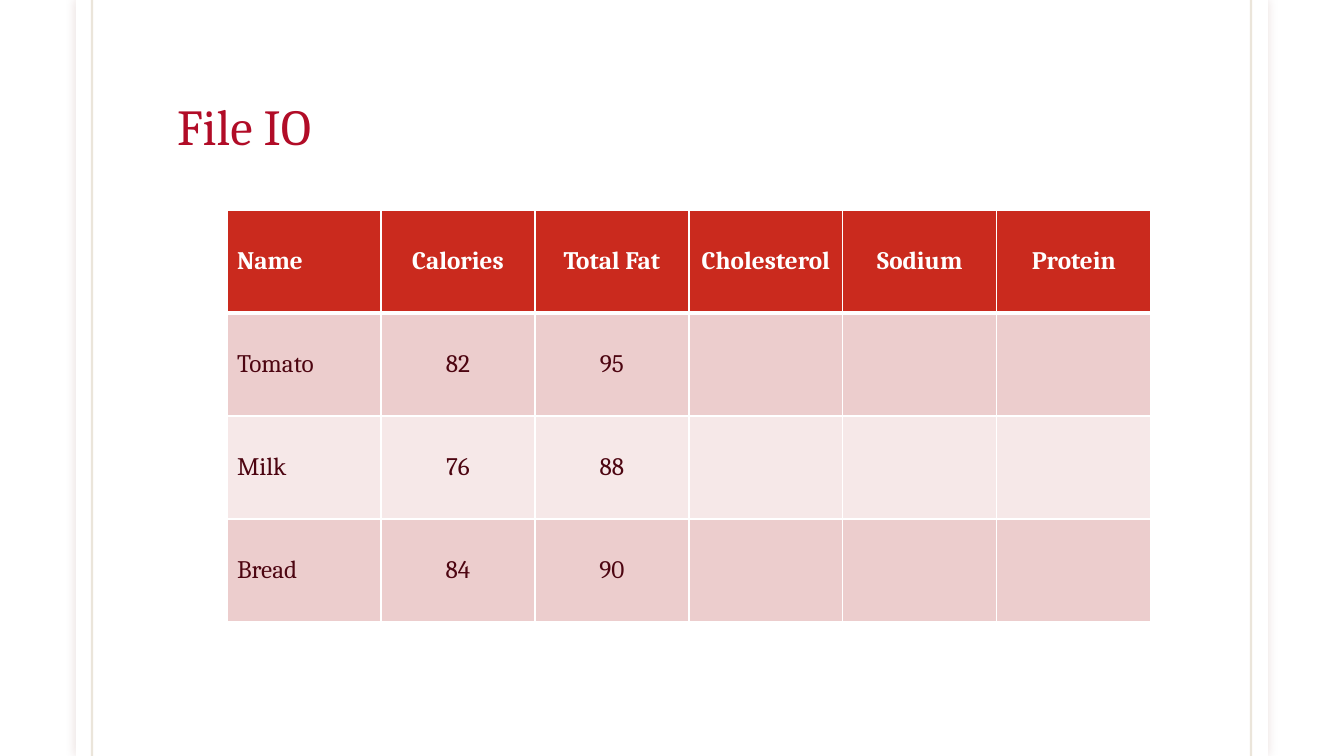
"""Build the File IO slide with its table of food values."""
from dataclasses import dataclass

from lxml import etree
from pptx import Presentation
from pptx import util as u
from pptx.dml.color import RGBColor
from pptx.enum import shapes, text
from pptx.oxml import parse_xml
from pptx.oxml.ns import nsdecls, qn

TITLE = "File IO"
ROWS = [
    ("Name", "Calories", "Total Fat", "Cholesterol", "Sodium", "Protein"),
    ("Tomato", "82", "95", "", "", ""),
    ("Milk", "76", "88", "", "", ""),
    ("Bread", "84", "90", "", "", ""),
]
PAGE = (1344, 756)
PANEL = (76, 0, 1192, 756)
RULES = (92, 1251)
HEAD = (167, 35, 1008, 126)
GRID = (227, 210)
CELL = (154, 103)


@dataclass(frozen=True)
class Theme:
    """Colours, font and type sizes."""
    font: str = "Cambria"
    title: str = "B10C27"
    head: str = "CA2A1E"
    bands: tuple = ("F6E8E8", "ECCDCD")
    ink: str = "4D0511"
    white: str = "FFFFFF"
    rule: str = "79540B"
    shade: str = "65150F"
    big: int = 36
    body: int = 18


LOOK = Theme()


def px(num):
    """Turn pixels into EMU."""
    return u.Emu(round(num * 914400 / 100.8))


def box(*nums):
    """Turn several pixel lengths into EMU."""
    return [px(num) for num in nums]


def style(para, size, color, bold=False):
    """Format the runs of a paragraph."""
    for run in para.runs:
        font = run.font
        font.name, font.size, font.bold = LOOK.font, u.Pt(size), bold
        font.color.rgb = RGBColor.from_string(color)


def add_panel(slide):
    """Draw the white sheet with its soft shadow."""
    panel = slide.shapes.add_shape(shapes.MSO_SHAPE.RECTANGLE, *box(*PANEL))
    panel.fill.solid()
    panel.fill.fore_color.rgb = RGBColor.from_string(LOOK.white)
    panel.line.fill.background()
    panel.shadow.inherit = False
    panel.element.spPr.find(qn("a:effectLst")).append(parse_xml(
        f'<a:outerShdw {nsdecls("a")} blurRad="{u.Pt(7)}" dist="0" dir="0" '
        f'algn="ctr" rotWithShape="0"><a:srgbClr val="{LOOK.shade}">'
        '<a:alpha val="15000"/></a:srgbClr></a:outerShdw>'))


def add_rule(slide, left):
    """Draw one faint upright line."""
    rule = slide.shapes.add_connector(
        shapes.MSO_CONNECTOR.STRAIGHT, *box(left, 0, left, PAGE[1]))
    rule.line.width = u.Pt(1.5)
    rule.line.color.rgb = RGBColor.from_string(LOOK.rule)
    props = rule.element.spPr
    tint = next(props.iter(qn("a:srgbClr")))
    etree.SubElement(tint, qn("a:alpha")).set("val", "15000")
    etree.SubElement(props, qn("a:effectLst"))


def add_title(slide):
    """Place the title above the sheet."""
    title = slide.shapes.title
    slide.shapes.element.append(title.element)
    title.left, title.top, title.width, title.height = box(*HEAD)
    frame = title.text_frame
    frame.text = TITLE
    frame.vertical_anchor = text.MSO_ANCHOR.BOTTOM
    para = frame.paragraphs[0]
    para.alignment = text.PP_ALIGN.LEFT
    para.line_spacing = 0.85
    style(para, LOOK.big, LOOK.title)


def edge(cell, row):
    """Give a cell white borders, thick below the header."""
    props = cell._tc.get_or_add_tcPr()
    thick = {(0, "B"), (1, "T")}
    for side in "LRTB":
        width = u.Pt(3 if (row, side) in thick else 1)
        props.append(parse_xml(
            f'<a:ln{side} {nsdecls("a")} w="{width}"><a:solidFill>'
            f'<a:srgbClr val="{LOOK.white}"/></a:solidFill></a:ln{side}>'))


def add_grid(slide):
    """Draw the table of foods."""
    rows, cols = len(ROWS), len(ROWS[0])
    size = (CELL[0] * cols, CELL[1] * rows)
    table = slide.shapes.add_table(rows, cols, *box(*GRID, *size)).table
    for col in table.columns:
        col.width = px(CELL[0])
    for row, words in enumerate(ROWS):
        table.rows[row].height = px(CELL[1])
        top = row == 0
        fill = LOOK.head if top else LOOK.bands[row % 2]
        for col, word in enumerate(words):
            cell = table.cell(row, col)
            edge(cell, row)
            cell.fill.solid()
            cell.fill.fore_color.rgb = RGBColor.from_string(fill)
            cell.vertical_anchor = text.MSO_ANCHOR.MIDDLE
            cell.text_frame.text = word
            para = cell.text_frame.paragraphs[0]
            para.alignment = text.PP_ALIGN.CENTER if col else text.PP_ALIGN.LEFT
            style(para, LOOK.body, LOOK.white if top else LOOK.ink, top)


def main():
    """Make and save the deck."""
    deck = Presentation()
    deck.slide_width, deck.slide_height = box(*PAGE)
    slide = deck.slides.add_slide(deck.slide_layouts[5])
    add_panel(slide)
    for left in RULES:
        add_rule(slide, left)
    add_title(slide)
    add_grid(slide)
    deck.save("out.pptx")


if __name__ == "__main__":
    main()
